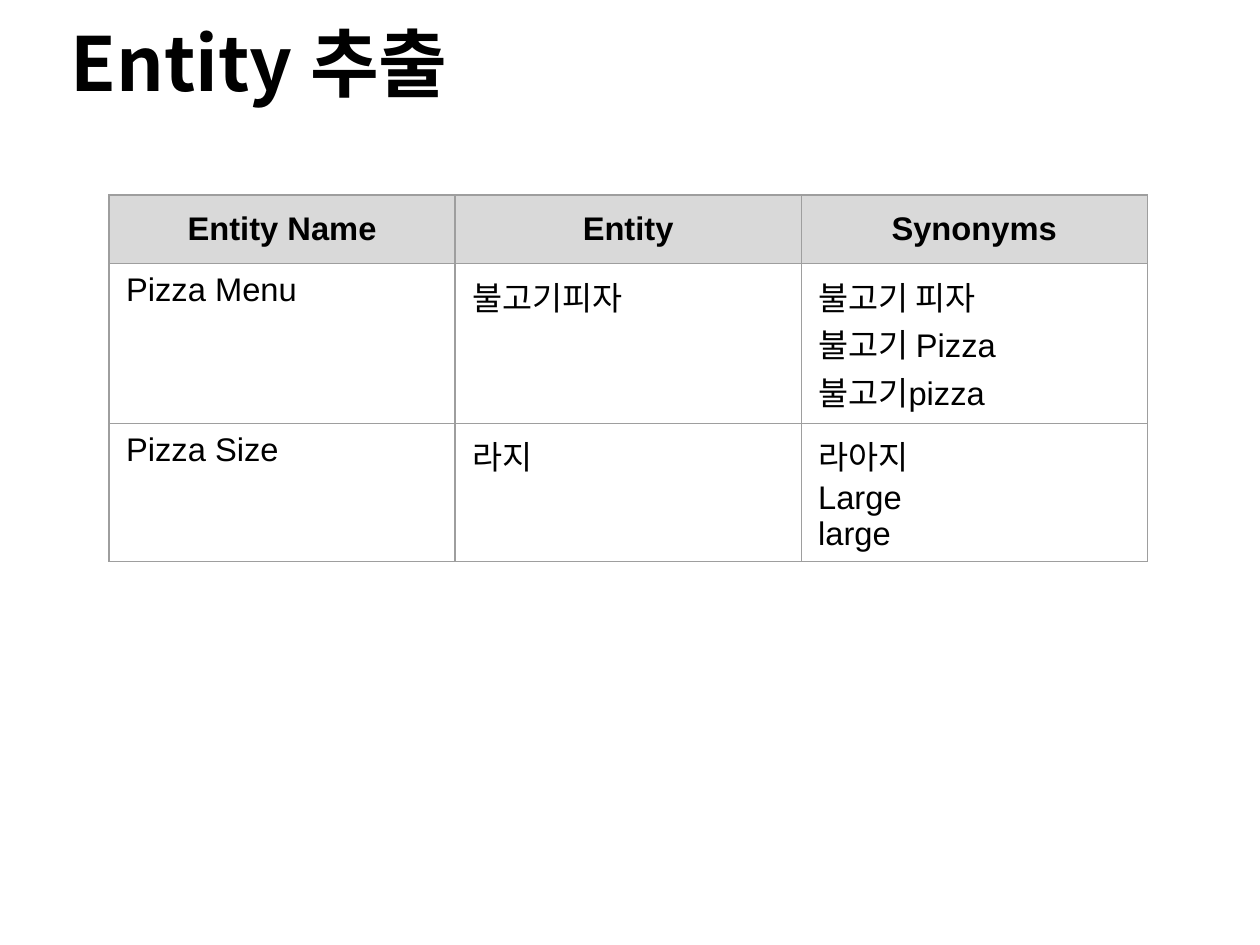
import pptx
import pptx.util
import pptx.dml.color
import pptx.enum.text
import pptx.oxml.ns
import lxml.etree

Inches = pptx.util.Inches
Pt = pptx.util.Pt
ALIGN = pptx.enum.text.PP_ALIGN
ANCHOR = pptx.enum.text.MSO_ANCHOR


def color(code):
    return pptx.dml.color.RGBColor.from_string(code)


def add(parent, tag, **attrs):
    return lxml.etree.SubElement(parent, pptx.oxml.ns.qn(tag), attrs)


class Deck:
    """Hold the deck style and the current slide."""

    latin, korean = "Arial", "Noto Sans CJK KR"
    ink, head, body, rule = "000000", "D9D9D9", "FFFFFF", "9E9E9E"

    def __init__(self, width, ratio):
        self.prs = pptx.Presentation()
        self.prs.slide_width = Inches(width)
        self.prs.slide_height = Inches(width * ratio)
        self.slide = self.prs.slides.add_slide(self.prs.slide_layouts[5])

    def style(self, para, name, size, bold, align):
        para.alignment = align
        font = para.font
        font.name, font.size, font.bold = name, Pt(size), bold
        font.color.rgb = color(self.ink)
        add(font._element, "a:ea", typeface=self.korean)

    def title(self, text, left, top, width, height):
        shape = self.slide.shapes.title
        shape.left, shape.top = Inches(left), Inches(top)
        shape.width, shape.height = Inches(width), Inches(height)
        frame = shape.text_frame
        frame.text = text
        frame.auto_size = pptx.enum.text.MSO_AUTO_SIZE.NONE
        frame.vertical_anchor = ANCHOR.TOP
        frame.margin_left = frame.margin_right = Inches(0.1)
        frame.margin_top = frame.margin_bottom = Inches(0.1)
        self.style(frame.paragraphs[0], self.korean, 32, True, ALIGN.LEFT)

    def border(self, cell):
        props = cell._tc.get_or_add_tcPr()
        for side in ("L", "R", "T", "B"):
            line = add(props, "a:ln" + side, w=str(Pt(0.75)))
            fill = add(line, "a:solidFill")
            add(fill, "a:srgbClr", val=self.rule)

    def cell(self, cell, text, top):
        cell.text = text
        cell.vertical_anchor = ANCHOR.MIDDLE if top else ANCHOR.TOP
        self.border(cell)
        cell.fill.solid()
        cell.fill.fore_color.rgb = color(self.head if top else self.body)
        align = ALIGN.CENTER if top else ALIGN.LEFT
        for para in cell.text_frame.paragraphs:
            self.style(para, self.latin, 14, top, align)

    def table(self, rows, left, top, width, height):
        frame = self.slide.shapes.add_table(
            len(rows), len(rows[0]), Inches(left), Inches(top),
            Inches(width), Inches(height * len(rows)))
        grid = frame.table
        grid.first_row = grid.horz_banding = False
        for r, row in enumerate(rows):
            for c, text in enumerate(row):
                self.cell(grid.cell(r, c), text, r == 0)

    def save(self):
        self.prs.save("out.pptx")


def main():
    deck = Deck(7.5, 0.75)
    deck.title("Entity 추출", 0.32, 0, 6.85, 0.98)
    deck.table([
        ["Entity Name", "Entity", "Synonyms"],
        ["Pizza Menu", "불고기피자", "불고기 피자\n불고기 Pizza\n불고기pizza"],
        ["Pizza Size", "라지", "라아지\nLarge\nlarge"],
    ], 0.65, 1.16, 6.18, 0.41)
    deck.save()


if __name__ == "__main__":
    main()
